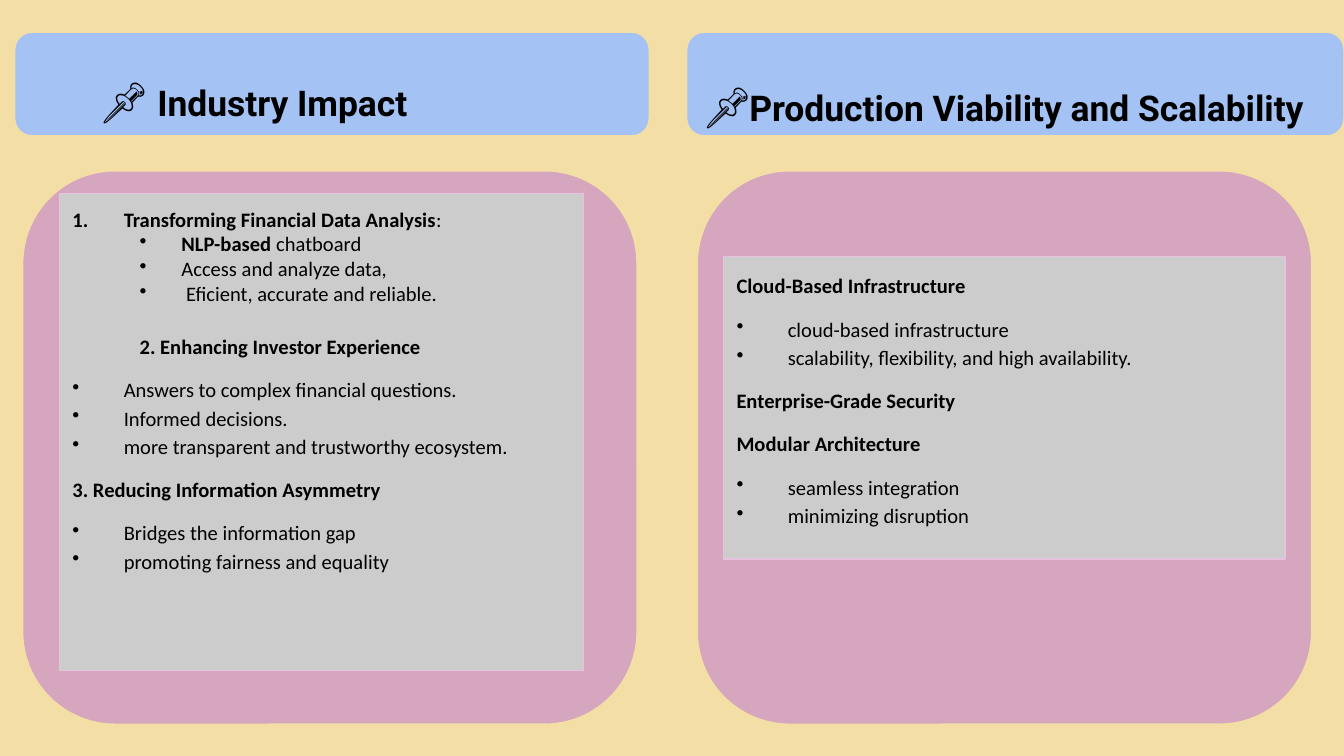
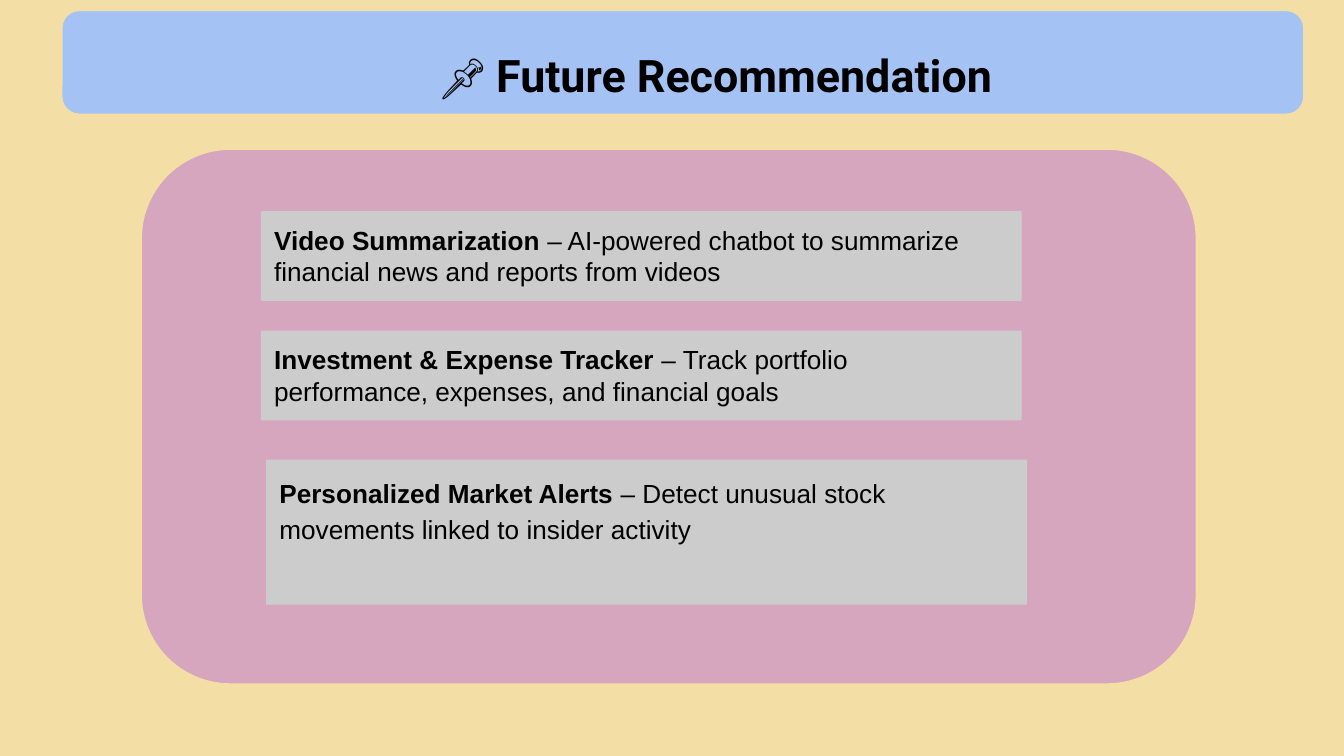
from dataclasses import dataclass
from typing import NamedTuple

from lxml.etree import SubElement
from pptx import Presentation
from pptx.dml.color import RGBColor
from pptx.enum.shapes import MSO_SHAPE
from pptx.enum.text import MSO_ANCHOR, PP_ALIGN
from pptx.oxml.ns import qn
from pptx.util import Cm, Pt

SAND = RGBColor(0xF3, 0xDF, 0xA5)
BLUE = RGBColor(0xA4, 0xC2, 0xF4)
PINK = RGBColor(0xD5, 0xA6, 0xBD)
GREY = RGBColor(0xCC, 0xCC, 0xCC)
ROSE = RGBColor(0xE6, 0xC2, 0xDE)
BLACK = RGBColor(0, 0, 0)

PAD = 0.25
HANG = 0.97
PIN = "📌"


class Box(NamedTuple):
    left: float
    top: float
    width: float
    height: float


class Run(NamedTuple):
    text: str
    bold: bool = False
    size: float | None = None


@dataclass(frozen=True)
class Para:
    runs: tuple[Run, ...]
    mark: str = ""
    left: float = 0
    hang: float = 0
    lead: float = 1.15
    above: float = 0
    after: float = 0
    align: PP_ALIGN = PP_ALIGN.LEFT


@dataclass(frozen=True)
class Style:
    shape: MSO_SHAPE
    fill: RGBColor
    edge: RGBColor | None = None
    font: str = "Calibri"
    size: float = 11


@dataclass(frozen=True)
class Title:
    box: Box
    runs: tuple[Run, ...]
    left: float
    top: float
    align: PP_ALIGN = PP_ALIGN.LEFT


BAND = Style(MSO_SHAPE.ROUNDED_RECTANGLE, BLUE, SAND, "Roboto", 24)
PANEL = Style(MSO_SHAPE.FLOWCHART_ALTERNATE_PROCESS, PINK, SAND)
CARD = Style(MSO_SHAPE.RECTANGLE, GREY, ROSE)
NOTE = Style(MSO_SHAPE.RECTANGLE, GREY, None, "Arial", 14)


def head(text: str, **form) -> Para:
    return Para((Run(text, True),), after=8, **form)


def dots(*texts: str) -> list[Para]:
    last = len(texts) - 1
    return [
        Para((Run(text),), "•", HANG, HANG, after=8 if spot == last else 0)
        for spot, text in enumerate(texts)
    ]


def sub(*runs: Run) -> Para:
    return Para(runs, "•", 2.06, 0.79, lead=1)


def add_mark(para, item: Para) -> None:
    props = para._p.get_or_add_pPr()
    props.set("marL", str(Cm(item.left)))
    props.set("indent", str(-Cm(item.hang)))
    if not item.mark:
        SubElement(props, qn("a:buNone"))
        return
    tint = SubElement(props, qn("a:buClr"))
    SubElement(tint, qn("a:srgbClr")).set("val", str(BLACK))
    if item.mark == "1.":
        SubElement(props, qn("a:buAutoNum")).set("type", "arabicPeriod")
    else:
        SubElement(props, qn("a:buChar")).set("char", item.mark)


def apply(target, form: dict) -> None:
    for name, value in form.items():
        setattr(target, name, value)


def add_box(slide, box: Box, style: Style):
    shape = slide.shapes.add_shape(style.shape, *map(Cm, box))
    shape.shadow.inherit = False
    shape.fill.solid()
    shape.fill.fore_color.rgb = style.fill
    if style.edge is None:
        shape.line.fill.background()
    else:
        shape.line.color.rgb = style.edge
        shape.line.width = Pt(0.75)
    return shape


def add_text(shape, items: list[Para], style: Style, left: float = PAD,
             top: float = PAD, foot: float = PAD) -> None:
    frame = shape.text_frame
    apply(frame, {
        "word_wrap": True,
        "vertical_anchor": MSO_ANCHOR.TOP,
        "margin_left": Cm(left),
        "margin_top": Cm(top),
        "margin_right": Cm(PAD),
        "margin_bottom": Cm(foot),
    })
    for spot, item in enumerate(items):
        para = frame.add_paragraph() if spot else frame.paragraphs[0]
        add_mark(para, item)
        apply(para, {
            "alignment": item.align,
            "line_spacing": item.lead,
            "space_before": Pt(item.above),
            "space_after": Pt(item.after),
        })
        for part in item.runs:
            run = para.add_run()
            run.text = part.text
            apply(run.font, {
                "name": style.font,
                "size": Pt(part.size or style.size),
                "bold": part.bold,
            })
            run.font.color.rgb = BLACK


def add_title(slide, title: Title) -> None:
    shape = add_box(slide, title.box, BAND)
    line = Para(title.runs, lead=1, align=title.align)
    add_text(shape, [line], BAND, title.left, title.top, 0)


def add_card(slide, box: Box, items: list[Para], style: Style) -> None:
    add_text(add_box(slide, box, style), items, style)


def add_page(deck):
    slide = deck.slides.add_slide(deck.slide_layouts[6])
    slide.background.fill.solid()
    slide.background.fill.fore_color.rgb = SAND
    return slide


IMPACT = [
    Para((Run("Transforming Financial Data Analysis", True), Run(":")),
         "1.", HANG, HANG, lead=1),
    sub(Run("NLP-based ", True), Run("chatboard")),
    sub(Run("Access and analyze data,")),
    sub(Run(" Eficient, accurate and reliable.")),
    head("2. Enhancing Investor Experience", left=1.27, above=13.4),
    *dots("Answers to complex financial questions.",
          "Informed decisions.",
          "more transparent and trustworthy ecosystem."),
    head("3. Reducing Information Asymmetry"),
    *dots("Bridges the information gap", "promoting fairness and equality"),
]

SCALE = [
    head("Cloud-Based Infrastructure"),
    *dots("cloud-based infrastructure",
          "scalability, flexibility, and high availability."),
    head("Enterprise-Grade Security"),
    head("Modular Architecture"),
    *dots("seamless integration", "minimizing disruption"),
]

PLANS = [
    (Box(4.93, 3.99, 14.38, 1.7), 1, "Video Summarization",
     " – AI-powered chatbot to summarize financial news and reports from videos"),
    (Box(4.93, 6.25, 14.38, 1.7), 1, "Investment & Expense Tracker",
     " – Track portfolio performance, expenses, and financial goals"),
    (Box(5.03, 8.69, 14.38, 2.74), 1.15, "Personalized Market Alerts",
     " – Detect unusual stock movements linked to insider activity"),
]

HALVES = [
    (Title(Box(0.28, 0.61, 11.99, 1.96),
           (Run(PIN + " ", True), Run("Industry Impact", True, 19)), 1.55, 0.66),
     Box(0.43, 3.23, 11.61, 10.46), Box(1.12, 3.66, 9.91, 9.02), IMPACT),
    (Title(Box(12.98, 0.61, 12.42, 1.96),
           (Run(PIN, True),
            Run("Production Viability and Scalability", True, 19)), PAD, 0.74),
     Box(13.18, 3.23, 11.61, 10.46), Box(13.67, 4.85, 10.62, 5.72), SCALE),
]

FUTURE = Title(Box(1.17, 0.2, 23.47, 1.96),
               (Run(PIN + " Future Recommendation", True),),
               1.52, 0.61, PP_ALIGN.CENTER)


def main() -> None:
    deck = Presentation()
    apply(deck, {"slide_width": Cm(25.4), "slide_height": Cm(14.29)})

    page = add_page(deck)
    for title, panel, card, items in HALVES:
        add_title(page, title)
        add_box(page, panel, PANEL)
        add_card(page, card, items, CARD)

    page = add_page(deck)
    add_title(page, FUTURE)
    add_box(page, Box(2.67, 2.82, 19.94, 10.11), PANEL)
    for box, lead, name, text in PLANS:
        line = Para((Run(name, True), Run(text)), lead=lead)
        add_card(page, box, [line], NOTE)

    deck.save("out.pptx")


if __name__ == "__main__":
    main()
